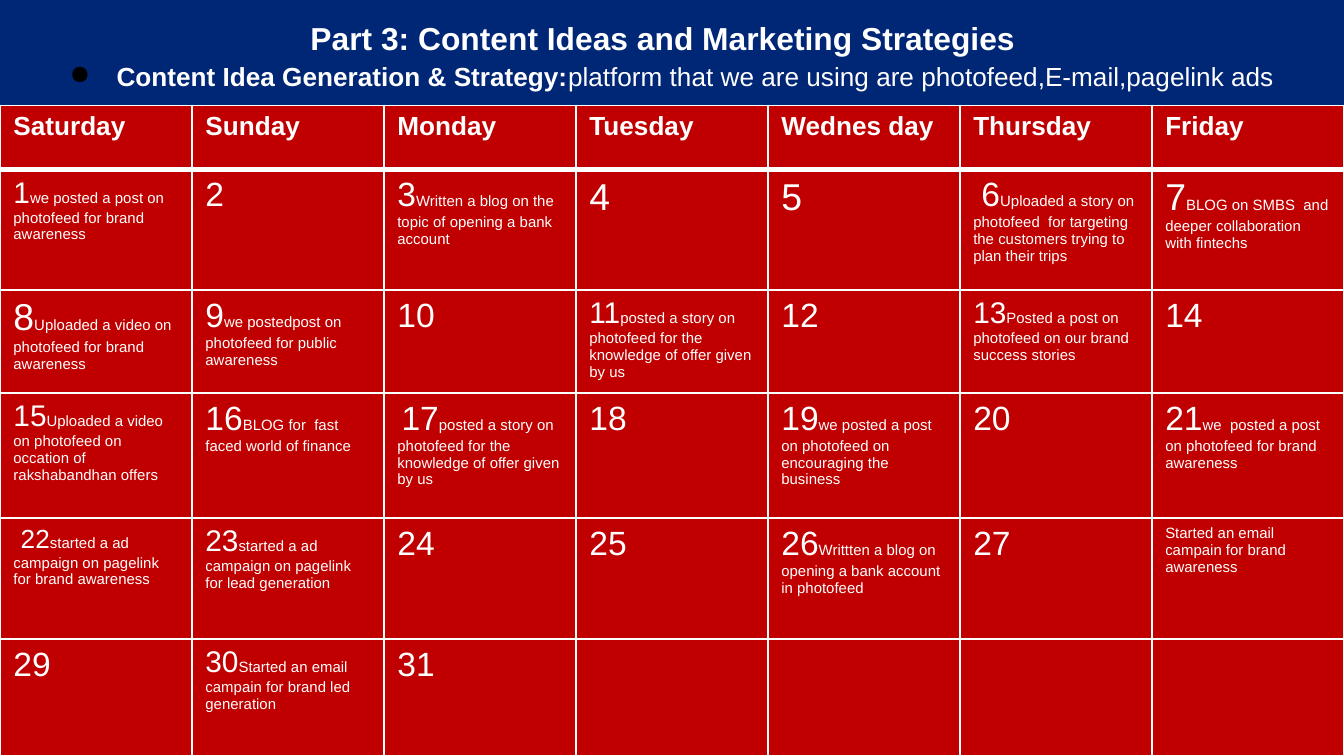
from pptx import Presentation, util as u
from pptx.dml.color import RGBColor
from pptx.enum import text
from lxml import etree
from pptx.oxml import ns

Pt = u.Pt
NAVY, RED, WHITE, BLACK = "002676", "C00000", "FFFFFF", "000000"


def color(value):
    return RGBColor.from_string(value)


def write(paragraph, words, size=8, bold=False, ink=WHITE):
    run = paragraph.add_run()
    run.text = words
    run.font.name = "Arial"
    run.font.size = Pt(size)
    run.font.bold = bold
    run.font.color.rgb = color(ink)


deck = Presentation()
deck.slide_width, deck.slide_height = Pt(720), Pt(405)
slide = deck.slides.add_slide(deck.slide_layouts[6])
slide.background.fill.solid()
slide.background.fill.fore_color.rgb = color(NAVY)

# Title and strategy line
headings = []
for left, top, width, height in [(54.5, 0, 601.5, 38), (19.4, 25.2, 694, 31.7)]:
    frame = slide.shapes.add_textbox(Pt(left), Pt(top), Pt(width), Pt(height)).text_frame
    frame.word_wrap = True
    frame.margin_left = frame.margin_right = Pt(7.2)
    frame.margin_top = frame.margin_bottom = Pt(7.2)
    headings.append(frame.paragraphs[0])
title, strategy = headings

title.alignment = text.PP_ALIGN.CENTER
title.line_spacing = 1.15
write(title, "Part 3: Content Ideas and Marketing Strategies", size=17, bold=True)

write(strategy, "Content Idea Generation & Strategy:", size=14, bold=True)
write(strategy, "platform that we are using are photofeed,E-mail,pagelink ads", size=14)
bullet = strategy._p.get_or_add_pPr()
bullet.set("marL", str(Pt(36)))
bullet.set("indent", str(Pt(-25.2)))
bullet_color = etree.SubElement(bullet, ns.qn("a:buClr"))
etree.SubElement(bullet_color, ns.qn("a:srgbClr"), val=BLACK)
etree.SubElement(bullet, ns.qn("a:buChar"), char="●")

# Calendar content: day number, number size, activity, first-line indent
weekdays = ["Saturday", "Sunday", "Monday", "Tuesday", "Wednes day", "Thursday", "Friday"]
weeks = [
    [("1", 16, "we posted a post on photofeed for brand awareness"),
     ("2", 18),
     ("3", 18, "Written a blog on the topic of opening a bank account"),
     ("4", 20),
     ("5", 20),
     ("6", 18, "Uploaded a story on photofeed  for targeting the customers "
               "trying to plan their trips", 4.4),
     ("7", 20, "BLOG on SMBS  and deeper collaboration with fintechs")],
    [("8", 20, "Uploaded a video on photofeed for brand awareness"),
     ("9", 18, "we postedpost on photofeed for public awareness"),
     ("10", 18),
     ("11", 16, "posted a story on photofeed for the knowledge of offer given by us"),
     ("12", 18),
     ("13", 16, "Posted a post on photofeed on our brand success stories"),
     ("14", 18)],
    [("15", 16, "Uploaded a video on photofeed on occation of rakshabandhan offers"),
     ("16", 18, "BLOG for  fast faced world of finance"),
     ("17", 18, "posted a story on photofeed for the knowledge of offer given by us", 2.2),
     ("18", 18),
     ("19", 18, "we posted a post on photofeed on encouraging the business"),
     ("20", 18),
     ("21", 18, "we  posted a post on photofeed for brand awareness")],
    [("22", 14, "started a ad campaign on pagelink for brand awareness", 3.9),
     ("23", 16, "started a ad campaign on pagelink for lead generation"),
     ("24", 18),
     ("25", 18),
     ("26", 18, "Writtten a blog on opening a bank account in photofeed"),
     ("27", 18),
     ("", 8, "Started an email campain for brand awareness")],
    [("29", 18),
     ("30", 16, "Started an email campain for brand led generation"),
     ("31", 18)],
]

# Calendar grid
row_heights = [34.4, 64.7, 55.2, 67, 64.7, 62.4]
calendar = slide.shapes.add_table(
    len(row_heights), len(weekdays), Pt(0), Pt(56.4), Pt(720), Pt(sum(row_heights))).table
calendar.first_row = calendar.horz_banding = False
for column in calendar.columns:
    column.width = Pt(720 / len(weekdays))
for row, height in zip(calendar.rows, row_heights):
    row.height = Pt(height)

# Cell borders, with a heavy rule below the weekdays, then cell fills
for row_index, row in enumerate(calendar.rows):
    for cell in row.cells:
        borders = {"a:lnL": 1, "a:lnR": 1,
                   "a:lnT": 3 if row_index == 1 else 1,
                   "a:lnB": 3 if row_index == 0 else 1}
        for side, weight in borders.items():
            line = etree.SubElement(cell._tc.get_or_add_tcPr(), ns.qn(side), w=str(Pt(weight)))
            line_fill = etree.SubElement(line, ns.qn("a:solidFill"))
            etree.SubElement(line_fill, ns.qn("a:srgbClr"), val=WHITE)
        cell.fill.solid()
        cell.fill.fore_color.rgb = color(RED)

# Weekday names
for column_index, weekday in enumerate(weekdays):
    write(calendar.cell(0, column_index).text_frame.paragraphs[0], weekday, size=14, bold=True)

# Days and their activities
for week_index, week in enumerate(weeks, start=1):
    for column_index, (day, day_size, *details) in enumerate(week):
        entry = calendar.cell(week_index, column_index).text_frame.paragraphs[0]
        if day:
            write(entry, day, size=day_size)
        if details:
            write(entry, details[0])
        if len(details) > 1:
            entry._p.get_or_add_pPr().set("indent", str(Pt(details[1])))

deck.save("out.pptx")
